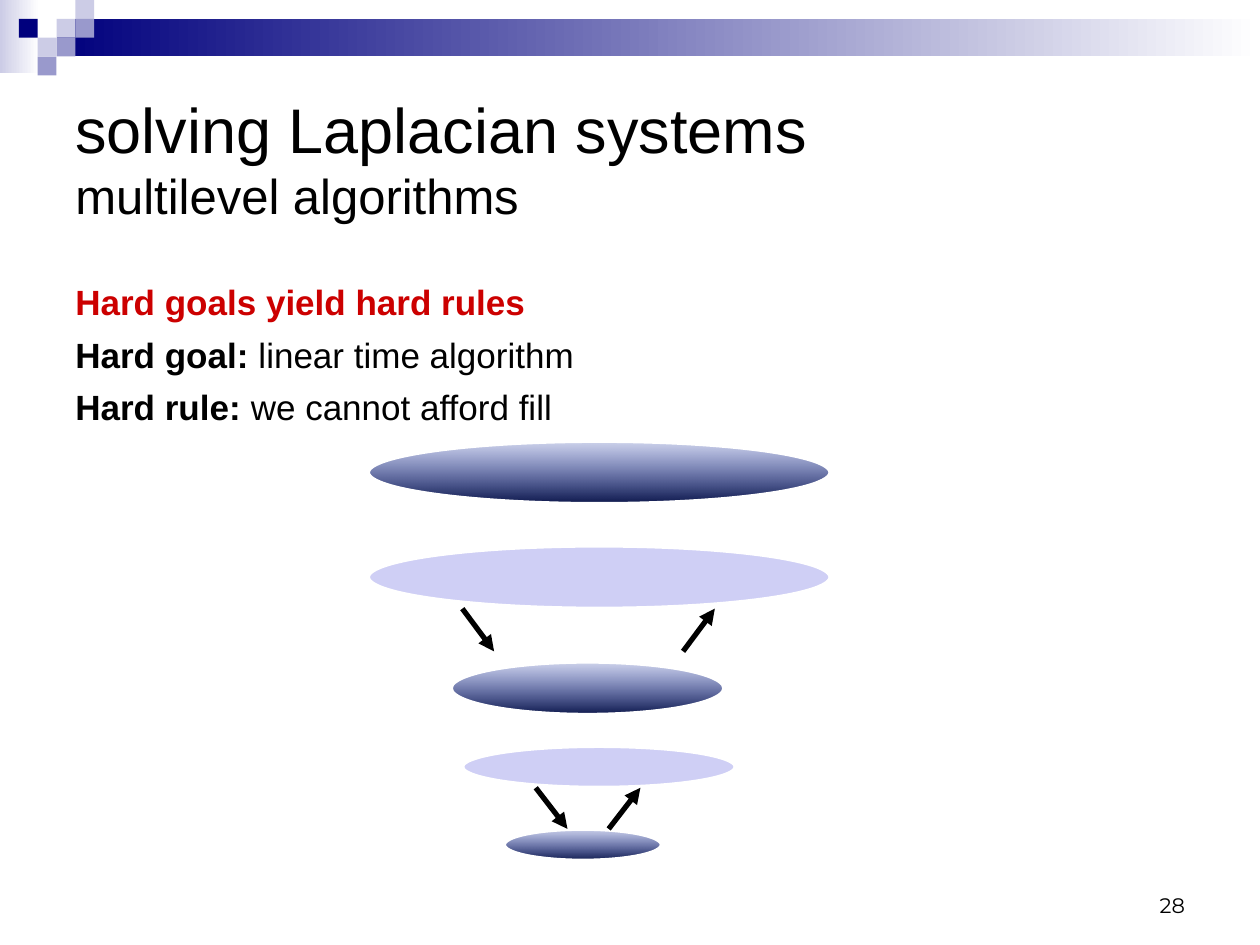
from lxml.etree import SubElement
from pptx import Presentation
from pptx.dml.color import RGBColor
from pptx.enum.dml import MSO_LINE_DASH_STYLE as Dash
from pptx.enum.shapes import MSO_CONNECTOR as Connector, MSO_SHAPE as Shape
from pptx.enum.text import MSO_ANCHOR as Anchor, PP_ALIGN as Align
from pptx.oxml.ns import qn
from pptx.util import Cm, Pt

COLORS = {
    "white": "FFFFFF", "black": "000000", "red": "CC0000",
    "navy": "00007D", "mid": "9999CC", "pale": "CCCCE6",
    "level_top": "152C9F", "level_bottom": "091449", "smooth": "0000CC",
}


def rgb(name):
    return RGBColor.from_string(COLORS[name])


class Deck:
    font = "Arial"
    alpha = 19  # percent opacity of the translucent fills

    def __init__(self, slide):
        self.shapes = slide.shapes

    def shape(self, kind, box, fill, angle=None, translucent=False, outline=None):
        """Preset shape; a pair of colours with an angle gives a gradient."""
        sp = self.shapes.add_shape(kind, *map(Cm, box))
        sp.shadow.inherit = False
        if angle is None:
            sp.fill.solid()
            sp.fill.fore_color.rgb = rgb(fill)
        else:
            sp.fill.gradient()
            sp.fill.gradient_angle = angle
            for stop, name, position in zip(sp.fill.gradient_stops, fill, (0, 1)):
                stop.color.rgb = rgb(name)
                stop.position = position
        if translucent:
            first = next(sp._element.spPr.iter(qn("a:srgbClr")))
            SubElement(first, qn("a:alpha"), val=str(self.alpha * 1000))
        if outline:
            sp.line.color.rgb = rgb(outline)
            sp.line.width = Pt(2.25)
        else:
            sp.line.fill.background()
        return sp

    def arrow(self, x1, y1, x2, y2):
        line = self.shapes.add_connector(
            Connector.STRAIGHT, Cm(x1), Cm(y1), Cm(x2), Cm(y2))
        line.line.color.rgb = rgb("black")
        line.line.width = Pt(3)
        line.line.dash_style = Dash.LONG_DASH
        SubElement(line.line._get_or_add_ln(), qn("a:tailEnd"), type="triangle")
        SubElement(line._element.spPr, qn("a:effectLst"))

    def text(self, box, anchor=Anchor.TOP):
        tf = self.shapes.add_textbox(*map(Cm, box)).text_frame
        tf.word_wrap = True
        tf.vertical_anchor = anchor
        return tf

    def style(self, font, size, color="black", name=None):
        font.name = name or self.font
        font.size = Pt(size)
        font.color.rgb = rgb(color)

    def title(self, box, heading, subheading):
        p = self.text(box, Anchor.MIDDLE).paragraphs[0]
        r = p.add_run()
        r.text = heading
        self.style(r.font, 36)
        p.add_line_break()
        r = p.add_run()
        r.text = subheading
        self.style(r.font, 28)

    def body(self, box, lines):
        tf = self.text(box)
        for i, (label, rest, color) in enumerate(lines):
            p = tf.add_paragraph() if i else tf.paragraphs[0]
            if i:
                p.space_before = Pt(5.8)
            self.style(p.font, 20, color)
            for text, bold in ((label, True), (rest, False)):
                if text:
                    r = p.add_run()
                    r.text = text
                    r.font.bold = bold

    def page_number(self, box, number):
        p = self.text(box, Anchor.BOTTOM).paragraphs[0]
        p.text = number
        p.alignment = Align.RIGHT
        self.style(p.font, 12, name="Montserrat")


def main():
    prs = Presentation()
    prs.slide_width, prs.slide_height = Cm(25.4), Cm(19.05)
    deck = Deck(prs.slides.add_slide(prs.slide_layouts[6]))

    # Header band and its squares on a grid
    deck.shape(Shape.RECTANGLE, (0, 0, 0.79, 1.47), ("white", "pale"), 180)
    deck.shape(Shape.RECTANGLE, (1.14, 0.38, 24.26, 0.76), ("white", "navy"), 180)
    cell = 0.38
    for col, row, color in [(3, 1, "pale"), (4, 0, "pale"), (4, 1, "mid"),
                            (2, 2, "pale"), (1, 1, "navy"), (3, 2, "mid"),
                            (2, 3, "mid")]:
        deck.shape(Shape.RECTANGLE, (col * cell, row * cell, cell, cell), color)

    # Title and statements
    deck.title((1.27, 1.27, 22.86, 3.81),
               "solving Laplacian systems", "multilevel algorithms")
    deck.body((1.27, 5.54, 22.86, 10.8), [
        ("Hard goals yield hard rules", "", "red"),
        ("Hard goal: ", "linear time algorithm", "black"),
        ("Hard rule: ", "we cannot afford fill", "black"),
    ])

    # Levels of the hierarchy: dark graphs and light smoothed ones
    for box in [(7.42, 8.89, 9.32, 1.27), (9.09, 13.34, 5.51, 1.07),
                (10.16, 16.71, 3.18, 0.64)]:
        deck.shape(Shape.OVAL, box, ("level_top", "level_bottom"), 270,
                   translucent=True, outline="white")
    for box in [(7.42, 11, 9.32, 1.27), (9.32, 15.04, 5.51, 0.84)]:
        deck.shape(Shape.OVAL, box, "smooth", translucent=True, outline="white")

    # Arrows down to the coarser level and back up
    run = 0.64
    for down_x, up_x, top, bottom in [(9.32, 13.77, 12.27, 13.13),
                                      (10.8, 12.27, 15.88, 16.71)]:
        deck.arrow(down_x, top, down_x + run, bottom)
        deck.arrow(up_x, bottom, up_x + run, top)

    deck.page_number((18.21, 17.36, 5.93, 1.27), "28")
    prs.save("out.pptx")


if __name__ == "__main__":
    main()
